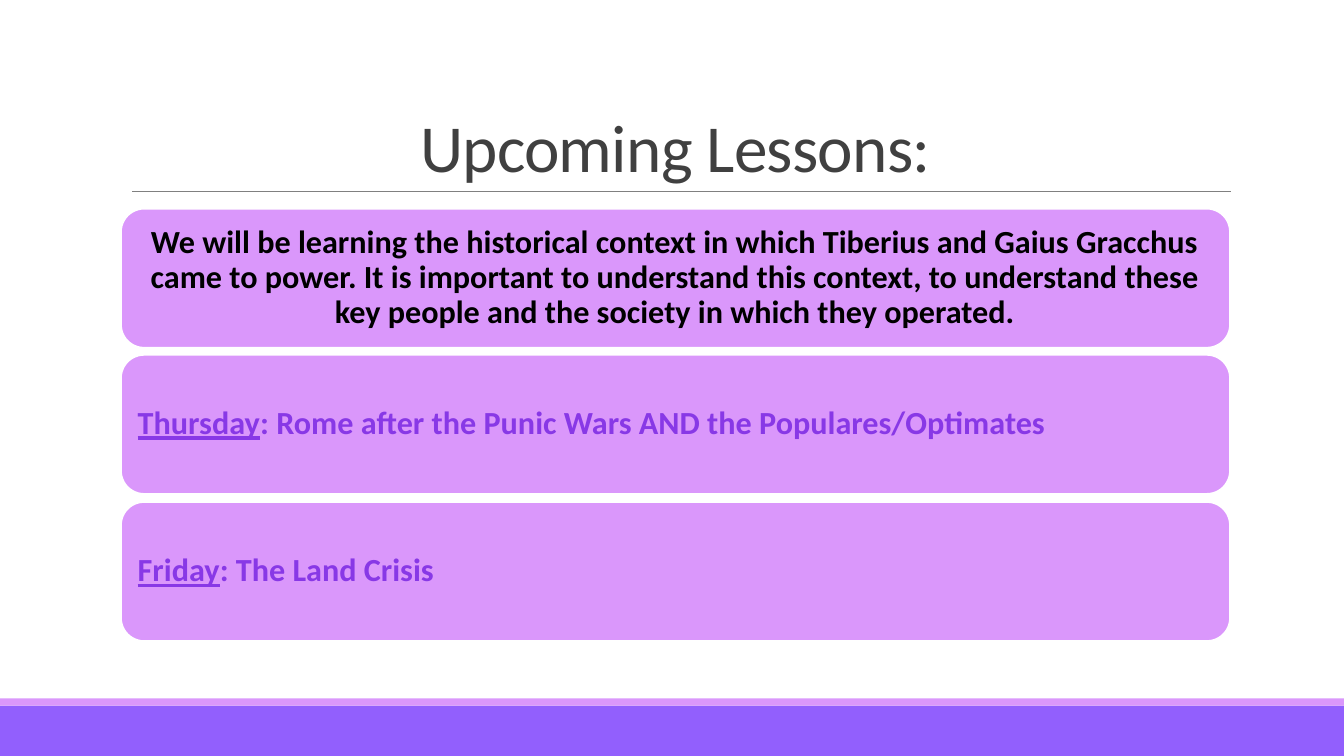
from dataclasses import dataclass

from lxml.etree import SubElement
from pptx import Presentation
from pptx.dml.color import RGBColor
from pptx.enum.shapes import MSO_CONNECTOR, MSO_SHAPE
from pptx.enum.text import MSO_ANCHOR, MSO_AUTO_SIZE, PP_ALIGN
from pptx.oxml.ns import qn
from pptx.shapes.autoshape import Shape
from pptx.slide import Slide
from pptx.text.text import TextFrame
from pptx.util import Inches, Pt

SLIDE_WIDTH, SLIDE_HEIGHT = 13.33, 7.5
VIOLET, LILAC, PURPLE = "925FFD", "DA97FB", "8838E6"
WHITE, BLACK, GRAY, DARK_GRAY = "FFFFFF", "000000", "808080", "404040"
CONTENT_LEFT, CONTENT_WIDTH = 1.2, 11
CARD_TOP, CARD_HEIGHT, CARD_STEP = 2.07, 1.38, 1.455


@dataclass(frozen=True)
class Bar:
    top: float
    height: float
    color: str


@dataclass(frozen=True)
class Card:
    text: str
    day: str = ""
    color: str = PURPLE
    alignment: PP_ALIGN = PP_ALIGN.LEFT


BARS = [Bar(7, 0.5, VIOLET), Bar(6.93, 0.07, LILAC)]
CARDS = [
    Card(
        "We will be learning the historical context in which Tiberius and Gaius "
        "Gracchus came to power. It is important to understand this context, to "
        "understand these key people and the society in which they operated.",
        color=BLACK,
        alignment=PP_ALIGN.CENTER,
    ),
    Card(": Rome after the Punic Wars AND the Populares/Optimates", "Thursday"),
    Card(": The Land Crisis", "Friday"),
]


def rgb(color: str) -> RGBColor:
    return RGBColor.from_string(color)


def apply_format(target: object, values: dict) -> None:
    for name, value in values.items():
        setattr(target, name, value)


def set_margins(frame: TextFrame, side: float, end: float) -> None:
    apply_format(frame, {
        "margin_left": Inches(side), "margin_right": Inches(side),
        "margin_top": Inches(end), "margin_bottom": Inches(end),
        "word_wrap": True, "auto_size": MSO_AUTO_SIZE.NONE,
    })


def add_filled_shape(slide: Slide, kind: MSO_SHAPE, left: float, top: float,
                     width: float, height: float, color: str) -> Shape:
    shape = slide.shapes.add_shape(
        kind, Inches(left), Inches(top), Inches(width), Inches(height))
    shape.shadow.inherit = False
    shape.fill.solid()
    shape.fill.fore_color.rgb = rgb(color)
    shape.line.fill.background()
    return shape


def add_rule(slide: Slide) -> None:
    rule = slide.shapes.add_connector(
        MSO_CONNECTOR.STRAIGHT, Inches(1.31), Inches(1.9), Inches(12.21), Inches(1.9))
    rule.line.color.rgb = rgb(GRAY)
    rule.line.width = Pt(0.5)
    SubElement(rule._element.spPr, qn("a:effectLst"))


def format_title(slide: Slide) -> None:
    title = slide.shapes.title
    apply_format(title, {
        "left": Inches(CONTENT_LEFT), "top": Inches(0.31),
        "width": Inches(CONTENT_WIDTH), "height": Inches(1.59),
    })
    frame = title.text_frame
    set_margins(frame, 0.1, 0.05)
    frame.vertical_anchor = MSO_ANCHOR.BOTTOM
    paragraph = frame.paragraphs[0]
    apply_format(paragraph, {"alignment": PP_ALIGN.CENTER, "line_spacing": 0.85})
    run = paragraph.add_run()
    run.text = "Upcoming Lessons:"
    apply_format(run.font, {"name": "Calibri", "size": Pt(48)})
    run.font.color.rgb = rgb(DARK_GRAY)
    run._r.get_or_add_rPr().set("spc", "-50")


def add_card(slide: Slide, card: Card, top: float) -> None:
    shape = add_filled_shape(slide, MSO_SHAPE.ROUNDED_RECTANGLE, CONTENT_LEFT, top,
                             CONTENT_WIDTH, CARD_HEIGHT, LILAC)
    shape.line.color.rgb = rgb(WHITE)
    shape.line.width = Pt(1.25)
    frame = shape.text_frame
    set_margins(frame, 0.1, 0.1)
    frame.vertical_anchor = MSO_ANCHOR.MIDDLE
    paragraph = frame.paragraphs[0]
    apply_format(paragraph, {"alignment": card.alignment, "line_spacing": 0.9})
    for text, underline in ((card.day, True), (card.text, False)):
        if not text:
            continue
        run = paragraph.add_run()
        run.text = text
        apply_format(run.font, {"name": "Calibri", "size": Pt(23), "bold": True,
                                "underline": underline})
        run.font.color.rgb = rgb(card.color)


def main() -> None:
    presentation = Presentation()
    presentation.slide_width = Inches(SLIDE_WIDTH)
    presentation.slide_height = Inches(SLIDE_HEIGHT)
    slide = presentation.slides.add_slide(presentation.slide_layouts[5])
    slide.background.fill.solid()
    slide.background.fill.fore_color.rgb = rgb(WHITE)

    # Footer bars and title rule
    for bar in BARS:
        add_filled_shape(slide, MSO_SHAPE.RECTANGLE, 0, bar.top, SLIDE_WIDTH,
                         bar.height, bar.color)
    add_rule(slide)

    # Title
    format_title(slide)

    # Lesson cards
    for index, card in enumerate(CARDS):
        add_card(slide, card, round(CARD_TOP + index * CARD_STEP, 2))

    presentation.save("out.pptx")


if __name__ == "__main__":
    main()
